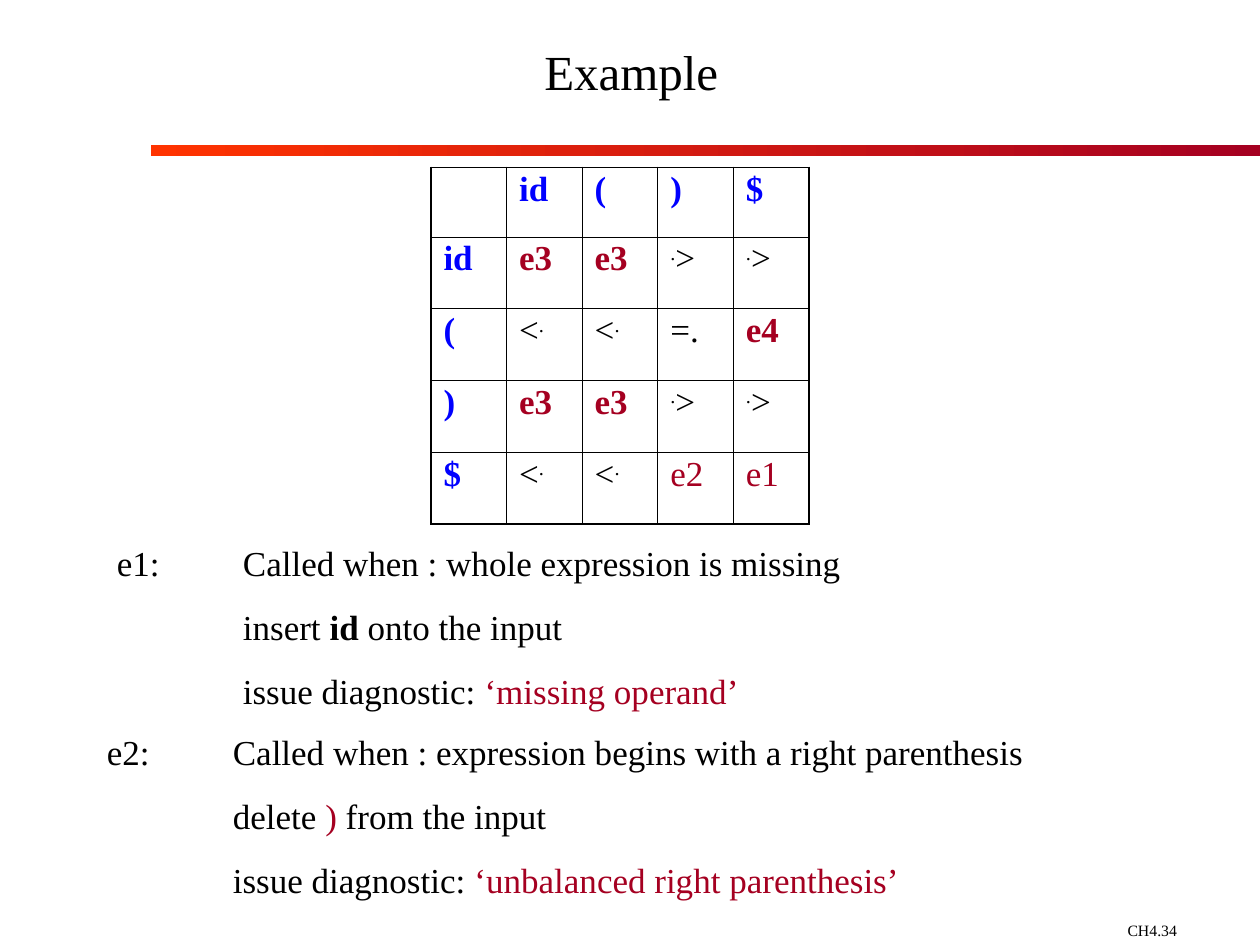
import dataclasses

import lxml.etree
import pptx
import pptx.dml.color
import pptx.enum.shapes
import pptx.enum.text
import pptx.oxml.ns
import pptx.util

Inches = pptx.util.Inches
Pt = pptx.util.Pt


@dataclasses.dataclass(frozen=True)
class Theme:
    font: str = "Times New Roman"
    black: str = "000000"
    blue: str = "0000FF"
    red: str = "A50021"
    orange: str = "FF3300"
    title_size: int = 28
    body_size: int = 20
    footer_size: int = 9
    outer_line: float = 1.08
    inner_line: float = 0.45


THEME = Theme()
HEADING = {"color": THEME.blue, "bold": True}
ERROR = {"color": THEME.red, "bold": True}
RED = {"color": THEME.red}
DOT = (".", {"raised": True})

# Each cell is a list of (text, format) runs
LESS = [("<", {}), DOT]
GREATER = [DOT, (">", {})]
EQUAL = [("=.", {})]
E3 = [("e3", ERROR)]
SYMBOLS = ["id", "(", ")", "$"]
RELATIONS = [
    [E3, E3, GREATER, GREATER],
    [LESS, LESS, EQUAL, [("e4", ERROR)]],
    [E3, E3, GREATER, GREATER],
    [LESS, LESS, [("e2", RED)], [("e1", RED)]],
]


def rgb(value):
    return pptx.dml.color.RGBColor.from_string(value)


def add_child(parent, tag, **attributes):
    child = lxml.etree.SubElement(parent, pptx.oxml.ns.qn(tag))
    for name, value in attributes.items():
        child.set(name, str(value))
    return child


def add_run(paragraph, text, size=THEME.body_size, color=THEME.black, bold=False, raised=False):
    run = paragraph.add_run()
    run.text = text
    run.font.name = THEME.font
    run.font.size = Pt(size)
    run.font.bold = bold
    run.font.color.rgb = rgb(color)
    if raised:
        run.font._element.set("baseline", "30000")


def write_text(frame, paragraphs, size=THEME.body_size, align=None, line_spacing=None,
               space_before=0, tab=None):
    """Fill a text frame; each paragraph is a list of (text, format) runs."""
    for index, runs in enumerate(paragraphs):
        paragraph = frame.add_paragraph() if index else frame.paragraphs[0]
        if tab:
            tabs = add_child(paragraph._p.get_or_add_pPr(), "a:tabLst")
            add_child(tabs, "a:tab", pos=tab, algn="l")
        if align is not None:
            paragraph.alignment = align
        if line_spacing:
            paragraph.line_spacing = line_spacing
        if index:
            paragraph.space_before = Pt(space_before)
        for text, style in runs:
            add_run(paragraph, text, **{"size": size, **style})


def add_text_box(slide, box, paragraphs, anchor=pptx.enum.text.MSO_ANCHOR.TOP, **style):
    frame = slide.shapes.add_textbox(*map(Inches, box)).text_frame
    frame.word_wrap = True
    frame.vertical_anchor = anchor
    write_text(frame, paragraphs, **style)


def add_title(slide, box, text):
    add_text_box(slide, box, [[(text, {})]], anchor=pptx.enum.text.MSO_ANCHOR.MIDDLE,
                 size=THEME.title_size, align=pptx.enum.text.PP_ALIGN.CENTER,
                 line_spacing=0.8)


def add_title_bar(slide, box):
    bar = slide.shapes.add_shape(pptx.enum.shapes.MSO_SHAPE.RECTANGLE, *map(Inches, box))
    bar.shadow.inherit = False
    bar.line.fill.background()
    bar.fill.gradient()
    bar.fill.gradient_angle = 0
    for stop, position, color in zip(bar.fill.gradient_stops, (0, 1), (THEME.orange, THEME.red)):
        stop.position = position
        stop.color.rgb = rgb(color)


def draw_borders(cell, outer_sides):
    properties = cell._tc.get_or_add_tcPr()
    for side in "LRTB":
        width = THEME.outer_line if side in outer_sides else THEME.inner_line
        line = add_child(properties, f"a:ln{side}", w=int(Pt(width)))
        add_child(add_child(line, "a:solidFill"), "a:srgbClr", val=THEME.black)


def add_precedence_table(slide, box, header_height):
    rows = [[[]] + [[(symbol, HEADING)] for symbol in SYMBOLS]]
    rows += [[[(symbol, HEADING)]] + cells for symbol, cells in zip(SYMBOLS, RELATIONS)]
    last = len(rows) - 1
    height = box[3]
    table = slide.shapes.add_table(len(rows), len(rows), *map(Inches, box)).table
    table.first_row = table.horz_banding = False
    for row_index, row in enumerate(rows):
        row_height = (height - header_height) / last if row_index else header_height
        table.rows[row_index].height = Inches(row_height)
        for column_index, runs in enumerate(row):
            cell = table.cell(row_index, column_index)
            edges = {"L": column_index == 0, "R": column_index == last,
                     "T": row_index == 0, "B": row_index == last}
            draw_borders(cell, [side for side, is_outer in edges.items() if is_outer])
            cell.fill.background()
            write_text(cell.text_frame, [runs], line_spacing=0.89)


def add_error_note(slide, box, paragraphs):
    add_text_box(slide, box, paragraphs, space_before=12.5, tab=Inches(1))


def add_footer(slide, box, text):
    add_text_box(slide, box, [[(text, {})]], size=THEME.footer_size)


def main():
    presentation = pptx.Presentation()
    presentation.slide_width = Inches(10)
    presentation.slide_height = Inches(7.5)
    slide = presentation.slides.add_slide(presentation.slide_layouts[6])

    # Frame of the slide
    add_title_bar(slide, (1.2, 1.15, 8.8, 0.09))
    add_footer(slide, (8.85, 7.26, 1.15, 0.24), "CH4.34")
    add_title(slide, (0.6, 0, 8.82, 1.22), "Example")

    # Operator precedence relations with error entries
    add_precedence_table(slide, (3.42, 1.33, 3, 2.83), header_height=0.55)

    # Explanations of the error routines
    add_error_note(slide, (0.83, 4.25, 7.83, 1.45), [
        [("e1:\tCalled when : whole expression is missing", {})],
        [("\tinsert ", {}), ("id", {"bold": True}), (" onto the input", {})],
        [("\tissue diagnostic: ", {}), ("‘missing operand’", RED)],
    ])
    add_error_note(slide, (0.75, 5.75, 7.83, 1.45), [
        [("e2:\tCalled when : expression begins with a right parenthesis", {})],
        [("\tdelete ", {}), (")", RED), (" from the input", {})],
        [("\tissue diagnostic: ", {}), ("‘unbalanced right parenthesis’", RED)],
    ])

    presentation.save("out.pptx")


if __name__ == "__main__":
    main()
